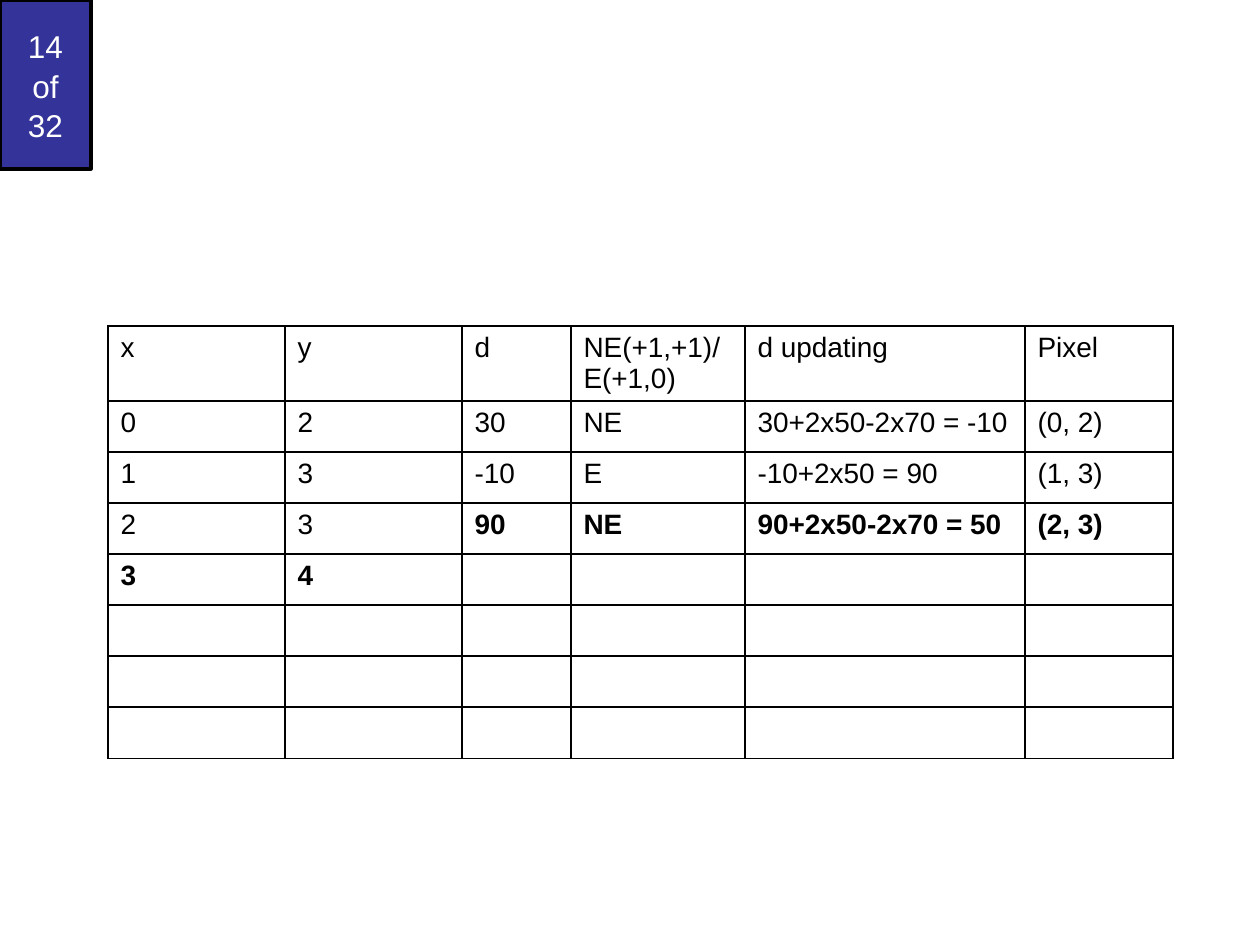
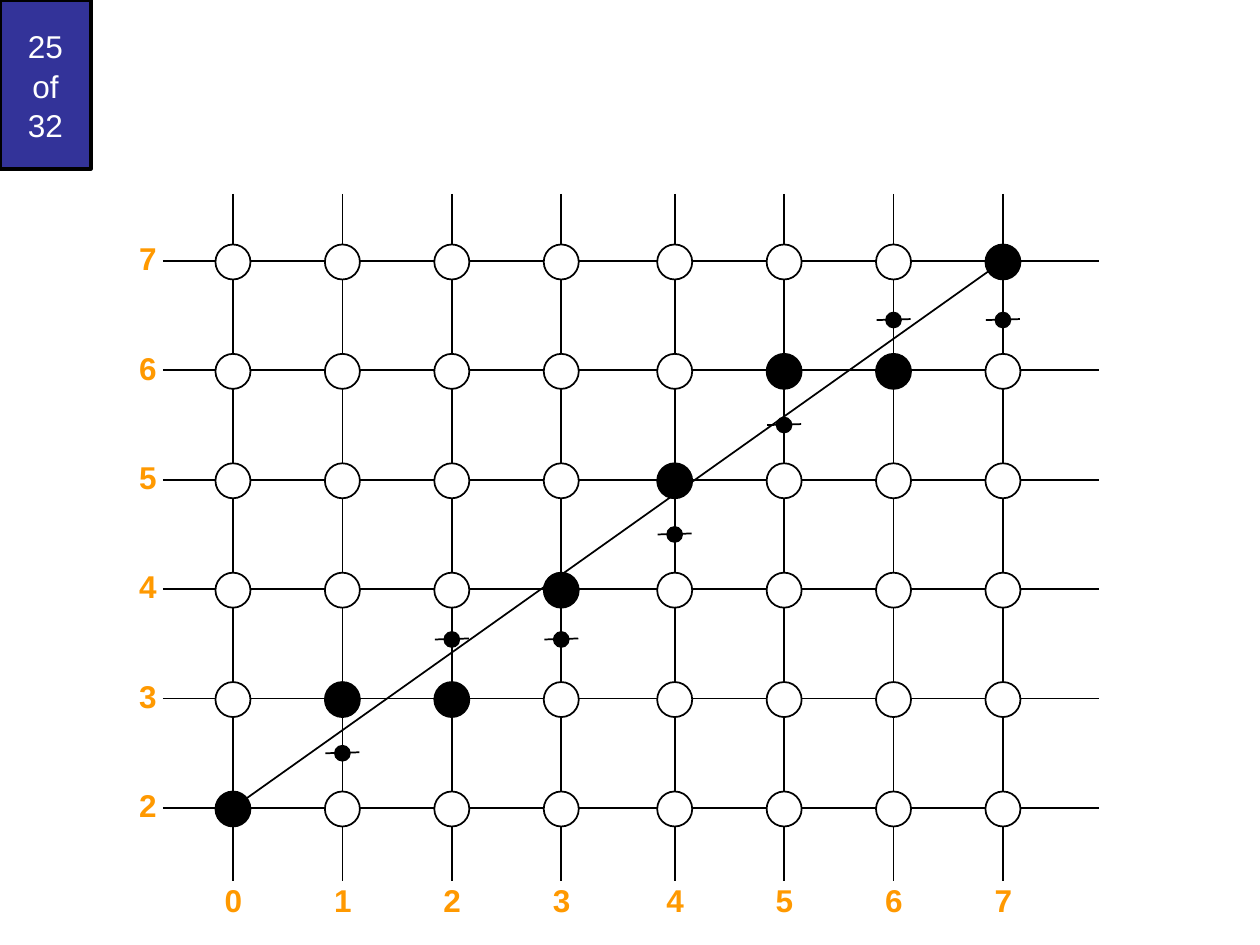
from lxml.etree import SubElement
from pptx import Presentation
from pptx.dml.color import RGBColor
from pptx.enum.shapes import MSO_CONNECTOR, MSO_SHAPE
from pptx.enum.text import MSO_ANCHOR, MSO_AUTO_SIZE, PP_ALIGN
from pptx.oxml.ns import qn
from pptx.util import Emu, Pt

# Shared look
BLACK = RGBColor(0x00, 0x00, 0x00)
WHITE = RGBColor(0xFF, 0xFF, 0xFF)
BADGE_BLUE = RGBColor(0x33, 0x33, 0x99)
LABEL_ORANGE = RGBColor(0xFF, 0x99, 0x00)
FONT = "Arial"
PX_PER_INCH = 126
SLIDE_SIZE = (1260, 945)
BLANK_LAYOUT = 6
SLIDE_TOTAL = 32

# Step table of the line algorithm; the rows below are still to be filled in
STEP_ROWS = [
    ("x", "y", "d", "NE(+1,+1)/E(+1,0)", "d updating", "Pixel"),
    ("0", "2", "30", "NE", "30+2x50-2x70 = -10", "(0, 2)"),
    ("1", "3", "-10", "E", "-10+2x50 = 90", "(1, 3)"),
    ("2", "3", "90", "NE", "90+2x50-2x70 = 50", "(2, 3)"),
    ("3", "4", "", "", "", ""),
] + [("",) * 6] * 3
LATEST_CELLS = {(3, 2), (3, 3), (3, 4), (3, 5), (4, 0), (4, 1)}
STEP_COLUMN_WIDTHS = (177, 177, 109, 174, 280, 148)
HEADER_HEIGHT, STEP_HEIGHT = 75, 51

# Pixel grid: y value chosen for each x, and midpoints tested from x = 1 on
CHOSEN_Y = (2, 3, 3, 4, 5, 6, 6, 7)
MIDPOINT_Y = (2.5, 3.54, 3.54, 4.5, 5.5, 6.46, 6.46)
X_VALUES, Y_VALUES = range(8), range(2, 8)
PIXEL_SIZE, MIDPOINT_SIZE = 35, 15
LABEL_WIDTH, LABEL_HEIGHT = 43, 50


def px(length):
    return Emu(round(length * 914400 / PX_PER_INCH))


def write_text(frame, text, size=18, color=BLACK, bold=False,
               align=PP_ALIGN.LEFT, line_spacing=None):
    paragraph = frame.paragraphs[0]
    paragraph.text = text
    paragraph.alignment = align
    paragraph.line_spacing = line_spacing
    for run in paragraph.runs:
        run.font.name = FONT
        run.font.size = Pt(size)
        run.font.bold = bold
        run.font.color.rgb = color


def add_filled(shapes, kind, box, fill, line_width=1):
    filled = shapes.add_shape(kind, *map(px, box))
    filled.shadow.inherit = False
    filled.fill.solid()
    filled.fill.fore_color.rgb = fill
    filled.line.color.rgb = BLACK
    filled.line.width = Pt(line_width)
    return filled


def add_dot(shapes, center_x, center_y, size, fill):
    box = (center_x - size / 2, center_y - size / 2, size, size)
    add_filled(shapes, MSO_SHAPE.OVAL, box, fill)


def add_line(shapes, *ends):
    line = shapes.add_connector(MSO_CONNECTOR.STRAIGHT, *map(px, ends))
    line.line.color.rgb = BLACK
    line.line.width = Pt(1)
    SubElement(line._element.spPr, qn("a:effectLst"))


def add_axis_label(slide, left, top, value):
    label = slide.shapes.add_textbox(px(left), px(top), px(LABEL_WIDTH), px(LABEL_HEIGHT))
    label.text_frame.word_wrap = False
    label.text_frame.auto_size = MSO_AUTO_SIZE.SHAPE_TO_FIT_TEXT
    write_text(label.text_frame, str(value), color=LABEL_ORANGE, bold=True,
               align=PP_ALIGN.RIGHT)


def add_badge(slide, number):
    badge = add_filled(slide.shapes, MSO_SHAPE.RECTANGLE, (0, 0, 91, 169),
                       BADGE_BLUE, line_width=2)
    badge.text_frame.vertical_anchor = MSO_ANCHOR.MIDDLE
    write_text(badge.text_frame, f"{number}\vof\v{SLIDE_TOTAL}", color=WHITE,
               align=PP_ALIGN.CENTER, line_spacing=1.05)


def add_borders(cell):
    properties = cell._tc.get_or_add_tcPr()
    for side in ("a:lnL", "a:lnR", "a:lnT", "a:lnB"):
        border = SubElement(properties, qn(side), w=str(Pt(1)))
        paint = SubElement(border, qn("a:solidFill"))
        SubElement(paint, qn("a:srgbClr"), val=str(BLACK))


def add_step_table(slide, left, top):
    heights = [HEADER_HEIGHT] + [STEP_HEIGHT] * (len(STEP_ROWS) - 1)
    steps = slide.shapes.add_table(
        len(heights), len(STEP_COLUMN_WIDTHS), px(left), px(top),
        px(sum(STEP_COLUMN_WIDTHS)), px(sum(heights))).table
    steps.first_row = steps.horz_banding = False
    for column, width in zip(steps.columns, STEP_COLUMN_WIDTHS):
        column.width = px(width)
    for r, (values, height) in enumerate(zip(STEP_ROWS, heights)):
        steps.rows[r].height = px(height)
        for c, value in enumerate(values):
            cell = steps.cell(r, c)
            add_borders(cell)
            cell.fill.background()
            write_text(cell.text_frame, value, size=16, bold=(r, c) in LATEST_CELLS)


def add_pixel_grid(slide, left, top, width, height):
    shapes = slide.shapes

    def at_x(value):
        # The right half of the grid sits slightly further right
        return left + 70 + value * 766 / 7 + (4 if value > 3 else 0)

    def at_y(value):
        return top + 614 - (value - 2) * 547 / 5

    # Grid lines and axis labels
    for y in Y_VALUES:
        add_line(shapes, left, at_y(y), left + width, at_y(y))
        add_axis_label(slide, left - 37, at_y(y) - 28, y)
    for x in X_VALUES:
        add_line(shapes, at_x(x), top, at_x(x), top + height)
        add_axis_label(slide, at_x(x) - LABEL_WIDTH / 2, top + height - 6, x)

    # Pixels, with the chosen ones filled
    for x, chosen in zip(X_VALUES, CHOSEN_Y):
        for y in Y_VALUES:
            add_dot(shapes, at_x(x), at_y(y) + 1, PIXEL_SIZE,
                    BLACK if y == chosen else WHITE)

    # Ideal line between the end pixels
    add_line(shapes, at_x(0), at_y(CHOSEN_Y[0]), at_x(7), at_y(CHOSEN_Y[-1]))

    # Midpoints, each a dot on a slightly tilted tick
    for x, y in enumerate(MIDPOINT_Y, start=1):
        midpoint = shapes.add_group_shape().shapes
        add_line(midpoint, at_x(x) - 17, at_y(y), at_x(x) + 17, at_y(y) - 1)
        add_dot(midpoint, at_x(x), at_y(y), MIDPOINT_SIZE, BLACK)


def main():
    deck = Presentation()
    deck.slide_width, deck.slide_height = map(px, SLIDE_SIZE)

    def new_slide(number):
        slide = deck.slides.add_slide(deck.slide_layouts[BLANK_LAYOUT])
        add_badge(slide, number)
        return slide

    add_step_table(new_slide(14), 108, 326)
    add_pixel_grid(new_slide(25), 163, 194, 936, 687)
    deck.save("out.pptx")


if __name__ == "__main__":
    main()
